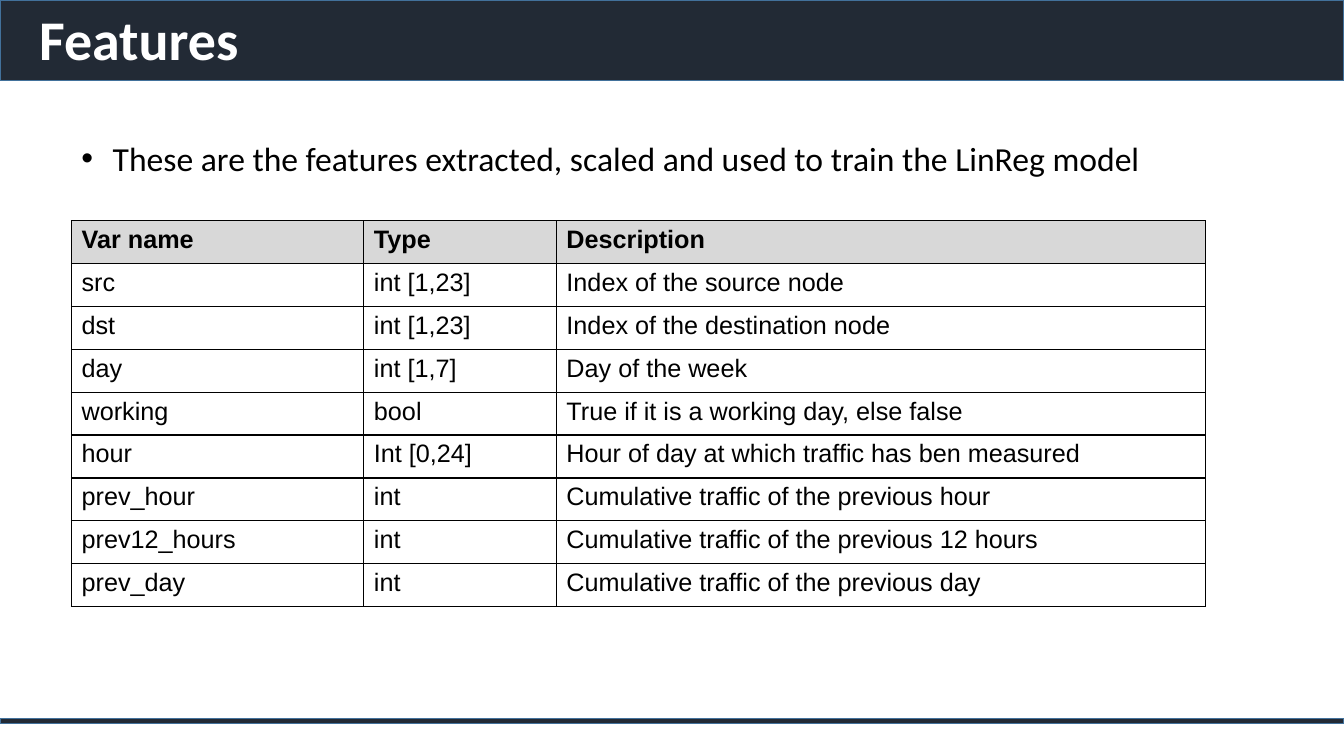
import pptx
import pptx.dml.color
import pptx.enum.shapes
import pptx.enum.text
import pptx.oxml
import pptx.oxml.ns
import pptx.util

SLIDE_WIDTH = pptx.util.Inches(13.33)
SLIDE_HEIGHT = pptx.util.Inches(7.5)
GRID_COLUMNS, GRID_ROWS = 160, 90

INK, PAPER = "000000", "FFFFFF"
BAND_FILL, BAND_EDGE = "222A35", "42719B"
HEADER_FILL = "D8D8D8"

TITLE_FONT = {"name": "Calibri", "size": pptx.util.Pt(40), "bold": True}
INTRO_FONT = {"name": "Calibri", "size": pptx.util.Pt(24), "bold": False}
HEADER_FONT = {"name": "Arial", "size": pptx.util.Pt(18), "bold": True}
FEATURE_FONT = {**HEADER_FONT, "bold": False}

FEATURES = [
    ("Var name", "Type", "Description"),
    ("src", "int [1,23]", "Index of the source node"),
    ("dst", "int [1,23]", "Index of the destination node"),
    ("day", "int [1,7]", "Day of the week"),
    ("working", "bool", "True if it is a working day, else false"),
    ("hour", "Int [0,24]", "Hour of day at which traffic has ben measured"),
    ("prev_hour", "int", "Cumulative traffic of the previous hour"),
    ("prev12_hours", "int", "Cumulative traffic of the previous 12 hours"),
    ("prev_day", "int", "Cumulative traffic of the previous day"),
]
FEATURE_SHARES = (34.8, 22.92, 77.28)


def color(code):
    return pptx.dml.color.RGBColor.from_string(code)


def fill(target, code):
    target.fill.solid()
    target.fill.fore_color.rgb = color(code)


def place(box):
    column, row, columns, rows = box
    across, down = SLIDE_WIDTH / GRID_COLUMNS, SLIDE_HEIGHT / GRID_ROWS
    return [round(n) for n in (column * across, row * down, columns * across, rows * down)]


def write(paragraph, words, look, code):
    run = paragraph.add_run()
    run.text = words
    for key, value in look.items():
        setattr(run.font, key, value)
    run.font.color.rgb = color(code)


def add_band(slide, box):
    band = slide.shapes.add_shape(pptx.enum.shapes.MSO_SHAPE.RECTANGLE, *place(box))
    band.shadow.inherit = False
    fill(band, BAND_FILL)
    band.line.color.rgb = color(BAND_EDGE)
    band.line.width = pptx.util.Pt(1)


def add_words(slide, box, words, look, code):
    frame = slide.shapes.add_textbox(*place(box)).text_frame
    frame.word_wrap = True
    paragraph = frame.paragraphs[0]
    write(paragraph, words, look, code)
    return frame, paragraph


def add_title(slide, box):
    frame, heading = add_words(slide, box, "Features", TITLE_FONT, PAPER)
    frame.vertical_anchor = pptx.enum.text.MSO_ANCHOR.MIDDLE
    heading.line_spacing = 0.9


def add_intro(slide, box):
    sentence = "These are the features extracted, scaled and used to train the LinReg model"
    bullet = add_words(slide, box, sentence, INTRO_FONT, INK)[1]
    properties = bullet._p.get_or_add_pPr()
    indent = pptx.util.Inches(0.31)
    properties.set("marL", str(indent))
    properties.set("indent", str(-indent))
    namespace = pptx.oxml.ns.nsdecls("a")
    for mark in (
        f'<a:buClr {namespace}><a:srgbClr val="{INK}"/></a:buClr>',
        f'<a:buFont {namespace} typeface="Arial"/>',
        f'<a:buChar {namespace} char="•"/>',
    ):
        properties.append(pptx.oxml.parse_xml(mark))


def outline(cell):
    properties = cell._tc.get_or_add_tcPr()
    for position, side in enumerate("LRTB"):
        edge = pptx.oxml.parse_xml(
            f'<a:ln{side} {pptx.oxml.ns.nsdecls("a")} w="{pptx.util.Pt(1)}">'
            f'<a:solidFill><a:srgbClr val="{INK}"/></a:solidFill></a:ln{side}>'
        )
        properties.insert(position, edge)


def add_features(slide, box):
    left, top, width, height = place(box)
    table = slide.shapes.add_table(
        len(FEATURES), len(FEATURE_SHARES), left, top, width, height
    ).table
    for column, share in zip(table.columns, FEATURE_SHARES):
        column.width = round(width * share / sum(FEATURE_SHARES))
    for index, feature in enumerate(FEATURES):
        table.rows[index].height = round(height / len(FEATURES))
        look, shade = (FEATURE_FONT, PAPER) if index else (HEADER_FONT, HEADER_FILL)
        for cell, words in zip(table.rows[index].cells, feature):
            fill(cell, shade)
            outline(cell)
            write(cell.text_frame.paragraphs[0], words, look, INK)


def build_features_slide(deck):
    slide = deck.slides.add_slide(deck.slide_layouts[6])
    add_band(slide, (0, 0, GRID_COLUMNS, 9.6))
    add_band(slide, (0, 85.56, GRID_COLUMNS, 0.6))
    add_title(slide, (3.48, 1.2, 144.36, 7.68))
    add_features(slide, (8.52, 26.28, sum(FEATURE_SHARES), 45.96))
    add_intro(slide, (8.52, 15.84, 138.84, 13.32))


def main():
    deck = pptx.Presentation()
    deck.slide_width, deck.slide_height = SLIDE_WIDTH, SLIDE_HEIGHT
    build_features_slide(deck)
    deck.save("out.pptx")


if __name__ == "__main__":
    main()
